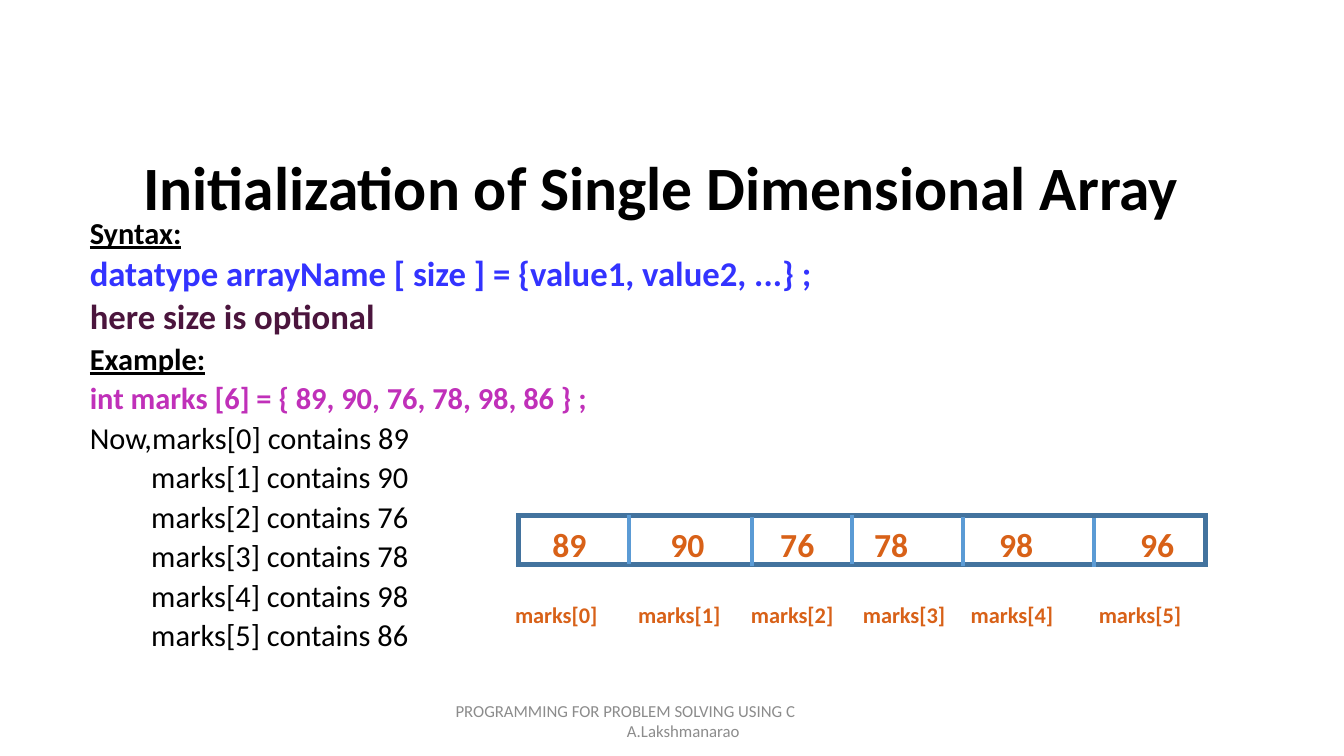
from lxml import etree
from pptx import Presentation
from pptx.dml.color import RGBColor
from pptx.enum.shapes import MSO_CONNECTOR, MSO_SHAPE
from pptx.enum.text import MSO_ANCHOR, MSO_AUTO_SIZE, PP_ALIGN
from pptx.oxml.ns import qn
from pptx.util import Inches, Pt

LEFT = PP_ALIGN.LEFT
TOP, MIDDLE = MSO_ANCHOR.TOP, MSO_ANCHOR.MIDDLE
FIXED, GROW = MSO_AUTO_SIZE.NONE, MSO_AUTO_SIZE.SHAPE_TO_FIT_TEXT
RECTANGLE, STRAIGHT = MSO_SHAPE.RECTANGLE, MSO_CONNECTOR.STRAIGHT

FONT = "Calibri"
COLORS = {
    "black": "000000", "syntax": "3333FF", "note": "4B153D",
    "code": "C030B9", "value": "D86118", "frame": "43739E",
    "divider": "5B9BD5", "footer": "8C8C8C",
}


def place(shape, box):
    shape.left, shape.top, shape.width, shape.height = map(Inches, box)


def prepare_frame(shape, anchor=TOP, fit=FIXED):
    frame = shape.text_frame
    frame.word_wrap = True
    frame.auto_size = fit
    frame.vertical_anchor = anchor
    return frame


def write_text(para, text, size, color="black", bold=False, underline=False,
               line_spacing=None, space_before=0, indent=0):
    para.alignment = LEFT
    para.space_before = Pt(space_before)
    if line_spacing:
        para.line_spacing = line_spacing
    span = para.add_run()
    span.text = text
    font = span.font
    font.name, font.size = FONT, Pt(size)
    font.bold, font.underline = bold, underline
    font.color.rgb = RGBColor.from_string(COLORS[color])
    # Left indent, no bullet
    properties = para._p.get_or_add_pPr()
    properties.set("marL", str(Inches(indent)))
    properties.set("indent", "0")
    etree.SubElement(properties, qn("a:buNone"))


def write_lines(frame, lines, **shared):
    for number, (text, style) in enumerate(lines):
        para = frame.add_paragraph() if number else frame.paragraphs[0]
        write_text(para, text, **{**shared, **style})


def add_title(page, box):
    title = page.shapes.title
    place(title, box)
    frame = prepare_frame(title, MIDDLE)
    write_text(frame.paragraphs[0], "Initialization of Single Dimensional Array",
               44, bold=True, line_spacing=0.9)


def add_body(page, box):
    body = page.placeholders[1]
    place(body, box)
    heading = {"bold": True, "underline": True}
    lines = [
        ("Syntax:", heading),
        ("datatype arrayName [ size ] = {value1, value2, ...} ;",
         {"size": 24.8, "color": "syntax", "bold": True}),
        ("here size is optional", {"size": 24.8, "color": "note", "bold": True}),
        ("Example:", heading),
        ("int marks [6] = { 89, 90, 76, 78, 98, 86 } ;",
         {"color": "code", "bold": True}),
        ("Now,marks[0] contains 89", {}),
    ]
    for index, mark in enumerate([90, 76, 78, 98, 86], start=1):
        lines.append((f"marks[{index}] contains {mark}", {"indent": 0.61}))
    write_lines(prepare_frame(body), lines,
                size=21.7, line_spacing=0.7, space_before=10)


def add_row(shapes, box, entries, offsets, size):
    """Place one entry at each offset; the box is that of the first entry."""
    left, top, width, height = box
    for entry, offset in zip(entries, offsets):
        cell = shapes.add_textbox(*map(Inches, (left + offset, top, width, height)))
        frame = prepare_frame(cell, fit=GROW)
        write_text(frame.paragraphs[0], entry, size, color="value", bold=True)


def style_line(line, color, width):
    line.color.rgb = RGBColor.from_string(COLORS[color])
    line.width = Pt(width)


def add_array(page, box):
    left, top, width, height = box
    # Values in the cells
    add_row(page.shapes, (left + 0.24, top + 0.04, 0.65, 0.5),
            ["89", "90", "76", "78", "98", "96"],
            (0, 1.17, 2.26, 3.19, 4.43, 5.83), 24)
    # Outline of the array, with square corners
    group = page.shapes.add_group_shape()
    outline = group.shapes.add_shape(RECTANGLE, *map(Inches, box))
    outline.shadow.inherit = False
    outline.fill.background()
    style_line(outline.line, "frame", 3.5)
    etree.SubElement(outline._element.spPr.find(qn("a:ln")), qn("a:miter"), lim="800000")
    # Dividers between the cells
    for across, drop in ((1.1, 0), (2.32, 0.02), (3.31, 0), (4.41, 0.02), (5.71, 0.03)):
        x, y = left + across, top + drop
        divider = group.shapes.add_connector(
            STRAIGHT, *map(Inches, (x, y, x, y + height)))
        style_line(divider.line, "divider", 3)
        etree.SubElement(divider._element.spPr, qn("a:effectLst"))
    # Element names under the cells
    add_row(group.shapes, (left - 0.13, top + 0.8, 1.07, 0.37),
            [f"marks[{index}]" for index in range(6)],
            (0, 1.22, 2.34, 3.45, 4.52, 5.79), 16)


def add_footer(page, box):
    footer = page.shapes.add_textbox(*map(Inches, box))
    write_lines(prepare_frame(footer, MIDDLE), [
        ("PROGRAMMING FOR PROBLEM SOLVING USING C", {}),
        ("A.Lakshmanarao", {"indent": 1.7}),
    ], size=12, color="footer")


def main():
    deck = Presentation()
    deck.slide_width, deck.slide_height = Inches(13.33), Inches(7.5)
    page = deck.slides.add_slide(deck.slide_layouts[1])
    add_footer(page, (4.42, 6.95, 4.5, 0.4))
    add_title(page, (1.32, 1.17, 11.5, 1.45))
    add_body(page, (0.79, 2.17, 10.31, 4.95))
    add_array(page, (5.14, 5.11, 6.82, 0.49))
    deck.save("out.pptx")


if __name__ == "__main__":
    main()
